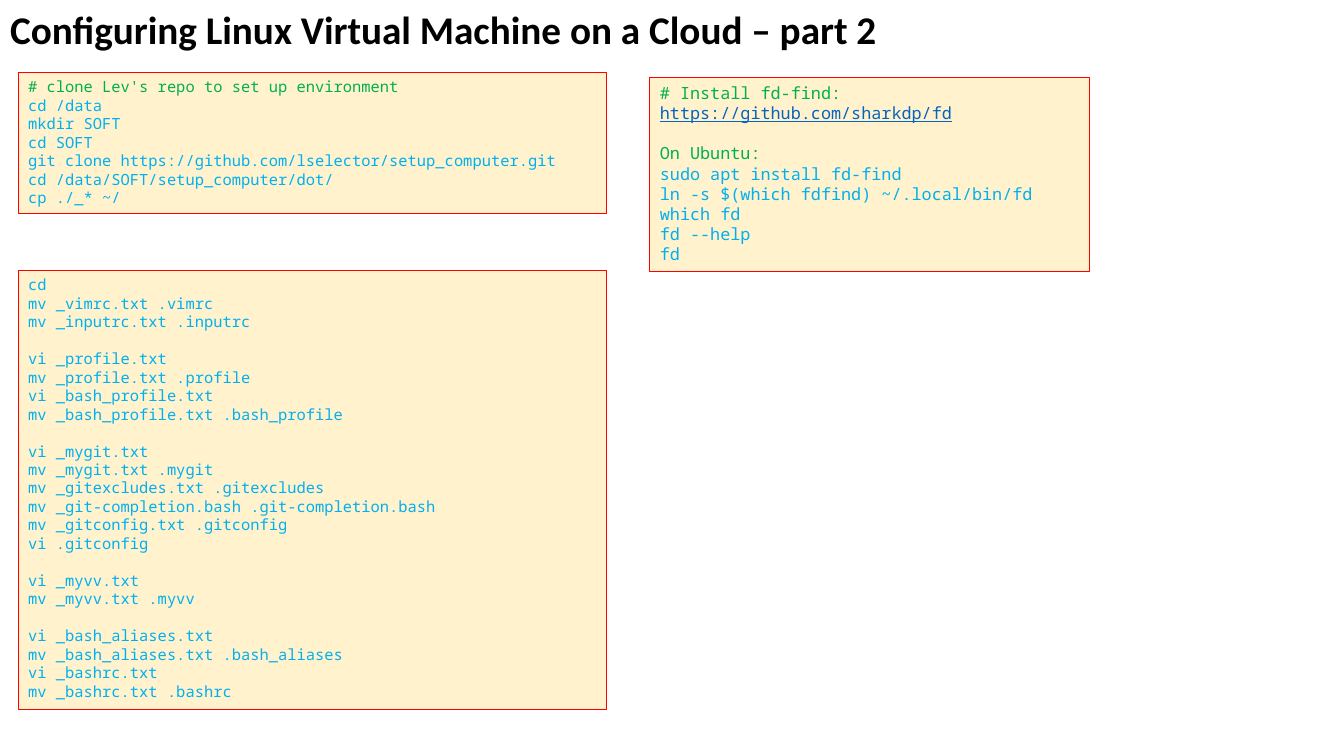
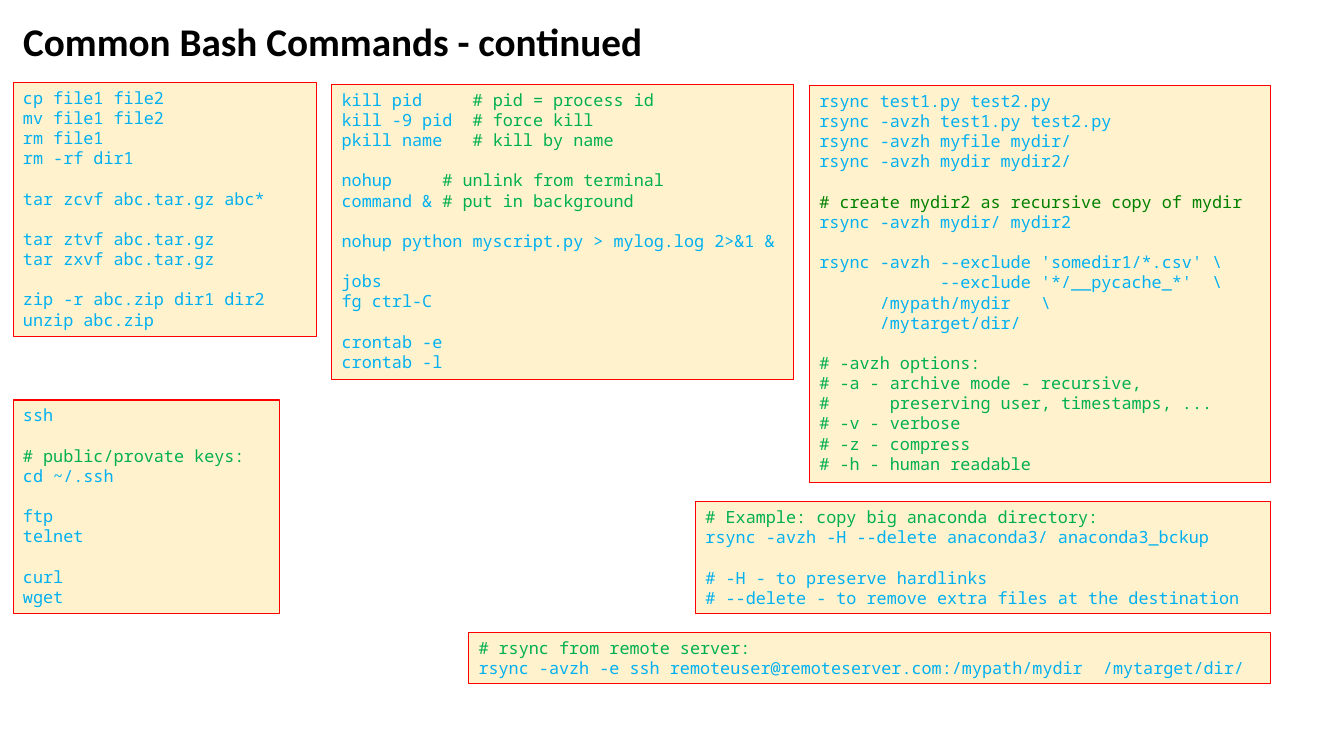
import pptx
import pptx.dml.color
import pptx.enum.shapes
import pptx.enum.text
import pptx.util

Cm = pptx.util.Cm
Pt = pptx.util.Pt

COLOURS = {
    "title": "000000",
    "panel": "FFF2CC",
    "border": "FF0000",
    "code": "00B0F0",
    "comment": "00B050",
    "dark comment": "008000",
    "link": "0563C1",
}
TITLE_FONT, TITLE_SIZE = "Calibri", 28
CODE_FONT = "Noto Sans Mono"
LINE_HEIGHT = 1.2

SPECIAL_LINES = {
    "https://github.com/sharkdp/fd": "link",
    "On Ubuntu:": "comment",
    "# create mydir2 as recursive copy of mydir": "dark comment",
    "# -H - to preserve hardlinks": "code",
    "# --delete - to remove extra files at the destination": "code",
}

CLONE_REPO = """# clone Lev's repo to set up environment
cd /data
mkdir SOFT
cd SOFT
git clone https://github.com/lselector/setup_computer.git
cd /data/SOFT/setup_computer/dot/
cp ./_* ~/"""

DOT_FILES = """cd
mv _vimrc.txt .vimrc
mv _inputrc.txt .inputrc

vi _profile.txt
mv _profile.txt .profile
vi _bash_profile.txt
mv _bash_profile.txt .bash_profile

vi _mygit.txt
mv _mygit.txt .mygit
mv _gitexcludes.txt .gitexcludes
mv _git-completion.bash .git-completion.bash
mv _gitconfig.txt .gitconfig
vi .gitconfig

vi _myvv.txt
mv _myvv.txt .myvv

vi _bash_aliases.txt
mv _bash_aliases.txt .bash_aliases
vi _bashrc.txt
mv _bashrc.txt .bashrc"""

INSTALL_FD = """# Install fd-find:
https://github.com/sharkdp/fd

On Ubuntu:
sudo apt install fd-find
ln -s $(which fdfind) ~/.local/bin/fd
which fd
fd --help
fd"""

FILES = """cp file1 file2
mv file1 file2
rm file1
rm -rf dir1

tar zcvf abc.tar.gz abc*

tar ztvf abc.tar.gz
tar zxvf abc.tar.gz

zip -r abc.zip dir1 dir2
unzip abc.zip"""

PROCESSES = """kill pid     # pid = process id
kill -9 pid  # force kill
pkill name   # kill by name

nohup     # unlink from terminal
command & # put in background

nohup python myscript.py > mylog.log 2>&1 &

jobs
fg ctrl-C

crontab -e
crontab -l"""

NETWORK = """ssh

# public/provate keys:
cd ~/.ssh

ftp
telnet

curl
wget"""

RSYNC = r"""rsync test1.py test2.py
rsync -avzh test1.py test2.py
rsync -avzh myfile mydir/
rsync -avzh mydir mydir2/

# create mydir2 as recursive copy of mydir
rsync -avzh mydir/ mydir2

rsync -avzh --exclude 'somedir1/*.csv' \
            --exclude '*/__pycache_*'  \
      /mypath/mydir   \
      /mytarget/dir/

# -avzh options:
# -a - archive mode - recursive,
#      preserving user, timestamps, ...
# -v - verbose
# -z - compress
# -h - human readable"""

RSYNC_BIG = """# Example: copy big anaconda directory:
rsync -avzh -H --delete anaconda3/ anaconda3_bckup

# -H - to preserve hardlinks
# --delete - to remove extra files at the destination"""

RSYNC_REMOTE = """# rsync from remote server:
rsync -avzh -e ssh remoteuser@remoteserver.com:/mypath/mydir  /mytarget/dir/"""

PAGES = [
    {
        "title": "Configuring Linux Virtual Machine on a Cloud – part 2",
        "title at": (0, 0, 23.16, 1.45),
        "panels": [
            (CLONE_REPO, 11, (0.46, 1.83, 14.83, 3.56)),
            (DOT_FILES, 11, (0.46, 6.81, 14.83, 11.07)),
            (INSTALL_FD, 12, (16.38, 1.96, 11.07, 4.88)),
        ],
    },
    {
        "title": "Common Bash Commands - continued",
        "title at": (0.33, 0.3, 19.28, 1.45),
        "panels": [
            (FILES, 12, (0.33, 2.08, 7.65, 6.4)),
            (PROCESSES, 12, (8.36, 2.13, 11.63, 7.44)),
            (NETWORK, 12, (0.33, 10.08, 6.71, 5.38)),
            (RSYNC, 12, (20.4, 2.16, 11.63, 10.01)),
            (RSYNC_BIG, 12, (17.53, 12.65, 14.5, 2.82)),
            (RSYNC_REMOTE, 12, (11.81, 15.95, 20.22, 1.27)),
        ],
    },
]


def colour(name):
    return pptx.dml.color.RGBColor.from_string(COLOURS[name])


def style_font(font, name, size, colour_name):
    font.name = name
    font.size = Pt(size)
    font.color.rgb = colour(colour_name)


def prepare_frame(frame):
    frame.word_wrap = True
    frame.auto_size = pptx.enum.text.MSO_AUTO_SIZE.NONE
    frame.vertical_anchor = pptx.enum.text.MSO_ANCHOR.TOP


def set_title(page, text, place):
    box = page.shapes.title
    box.left, box.top, box.width, box.height = map(Cm, place)
    box.text_frame.text = text
    prepare_frame(box.text_frame)
    para = box.text_frame.paragraphs[0]
    para.alignment = pptx.enum.text.PP_ALIGN.LEFT
    style_font(para.font, TITLE_FONT, TITLE_SIZE, "title")
    para.font.bold = True


def write_line(para, line, size):
    para.alignment = pptx.enum.text.PP_ALIGN.LEFT
    command, mark, remark = line.partition("#")
    kind = SPECIAL_LINES.get(line, "code" if command else "comment")
    style_font(para.font, CODE_FONT, size, kind)
    if kind == "link":
        para.font.underline = True
    if command and mark:
        para.add_run().text = command
        span = para.add_run()
        span.text = mark + remark
        span.font.color.rgb = colour("comment")
    else:
        para.add_run().text = line


def add_panel(page, text, size, place):
    box = page.shapes.add_shape(
        pptx.enum.shapes.MSO_SHAPE.RECTANGLE, *map(Cm, place))
    box.shadow.inherit = False
    box.fill.solid()
    box.fill.fore_color.rgb = colour("panel")
    box.line.color.rgb = colour("border")
    box.line.width = Pt(0.75)
    frame = box.text_frame
    prepare_frame(frame)
    para = frame.paragraphs[0]
    for group_index, group in enumerate(text.split("\n\n")):
        for line_index, line in enumerate(group.split("\n")):
            if group_index or line_index:
                para = frame.add_paragraph()
            if group_index and not line_index:
                para.space_before = Pt(size * LINE_HEIGHT)
            write_line(para, line, size)


def main():
    deck = pptx.Presentation()
    deck.slide_width, deck.slide_height = Cm(33.87), Cm(19.05)
    title_only = deck.slide_layouts[5]
    for content in PAGES:
        page = deck.slides.add_slide(title_only)
        set_title(page, content["title"], content["title at"])
        for text, size, place in content["panels"]:
            add_panel(page, text, size, place)
    deck.save("out.pptx")


if __name__ == "__main__":
    main()
